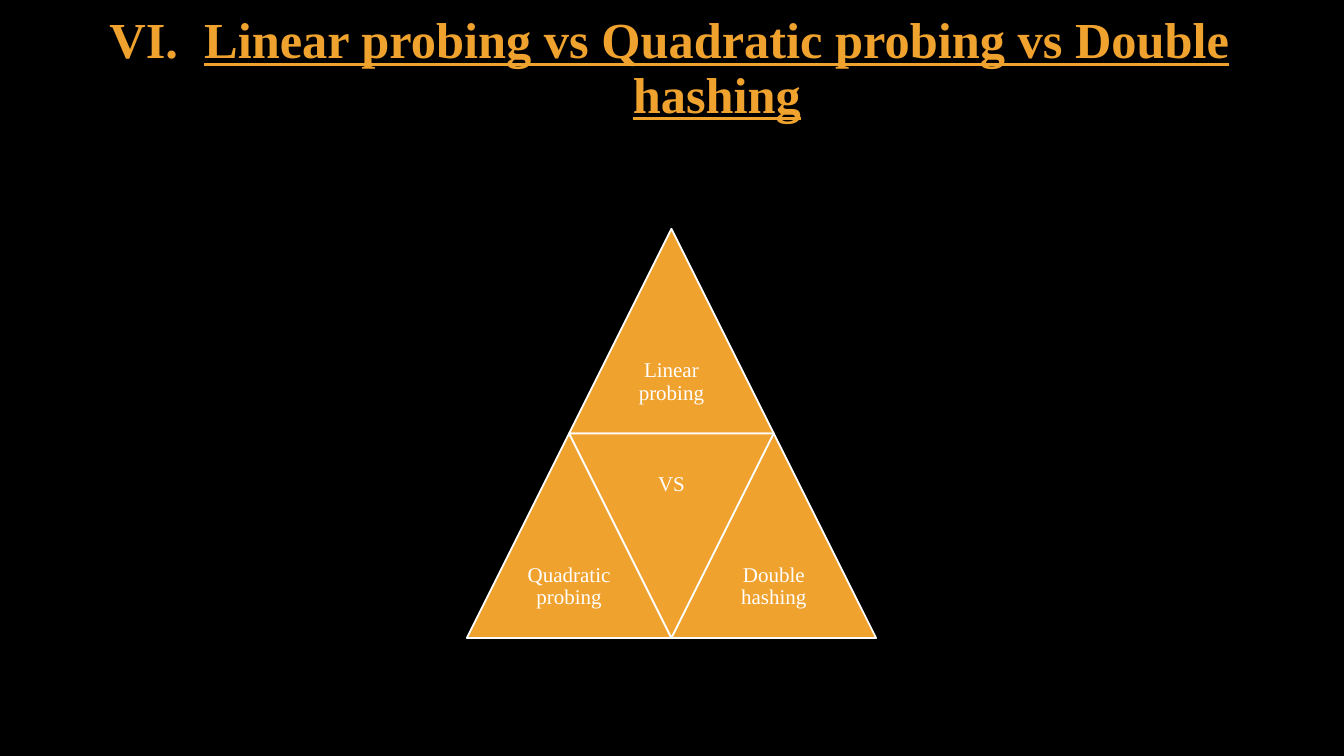
from pptx import Presentation, util as u
from pptx.dml.color import RGBColor
from pptx.enum import shapes, text
from lxml import etree

HUES = {"back": "000000", "gold": "F0A22E", "white": "FFFFFF"}
FACE = "Times New Roman"
NS = "http://schemas.openxmlformats.org/drawingml/2006/main"


def tint(name):
    return RGBColor.from_string(HUES[name])


def write(slide, box, words, size, hue, inset=(0.1, 0.05)):
    label = slide.shapes.add_textbox(*map(u.Inches, box))
    frame = label.text_frame
    frame.word_wrap = True
    frame.vertical_anchor = text.MSO_ANCHOR.MIDDLE
    frame.margin_left = frame.margin_right = u.Inches(inset[0])
    frame.margin_top = frame.margin_bottom = u.Inches(inset[1])
    frame.text = words
    para = frame.paragraphs[0]
    para.alignment = text.PP_ALIGN.CENTER
    para.line_spacing = 0.9
    font = para.runs[0].font
    font.name = FACE
    font.size = u.Pt(size)
    font.color.rgb = tint(hue)
    return para


def add_title(slide, box):
    words = "Linear probing vs Quadratic probing vs Double hashing"
    para = write(slide, box, words, 36, "gold")
    font = para.runs[0].font
    font.bold = True
    font.underline = True
    props = para._p.get_or_add_pPr()
    indent = u.Inches(0.94)
    props.set("marL", str(indent))
    props.set("indent", str(-indent))
    etree.SubElement(props, f"{{{NS}}}buFont", typeface="+mj-lt")
    etree.SubElement(props, f"{{{NS}}}buAutoNum", type="romanUcPeriod", startAt="6")


def add_part(slide, box, words, turned=False):
    left, top, side, _ = box
    part = slide.shapes.add_shape(
        shapes.MSO_SHAPE.ISOSCELES_TRIANGLE, *map(u.Inches, box))
    part.shadow.inherit = False
    part.rotation = 180 if turned else 0
    part.fill.solid()
    part.fill.fore_color.rgb = tint("gold")
    part.line.color.rgb = tint("white")
    part.line.width = u.Pt(1.25)
    half = side / 2
    drop = 0 if turned else half
    write(slide, (left + side / 4, top + drop, half, half), words, 15, "white", (0.06, 0.06))


def add_pyramid(slide, box):
    left, top, width, height = box
    side, tall = width / 2, height / 2
    parts = [
        ("Linear probing", 1, 0, False),
        ("Quadratic probing", 0, 1, False),
        ("VS", 1, 1, True),
        ("Double hashing", 2, 1, False),
    ]
    for words, col, row, turned in parts:
        spot = (left + col * side / 2, top + row * tall, side, tall)
        add_part(slide, spot, words, turned)


def main():
    deck = Presentation()
    deck.slide_width = u.Inches(13.33)
    deck.slide_height = u.Inches(7.5)
    slide = deck.slides.add_slide(deck.slide_layouts[6])
    slide.background.fill.solid()
    slide.background.fill.fore_color.rgb = tint("back")
    add_title(slide, (0.35, 0, 12.58, 1.38))
    add_pyramid(slide, (4.63, 2.27, 4.06, 4.06))
    deck.save("out.pptx")


if __name__ == "__main__":
    main()
